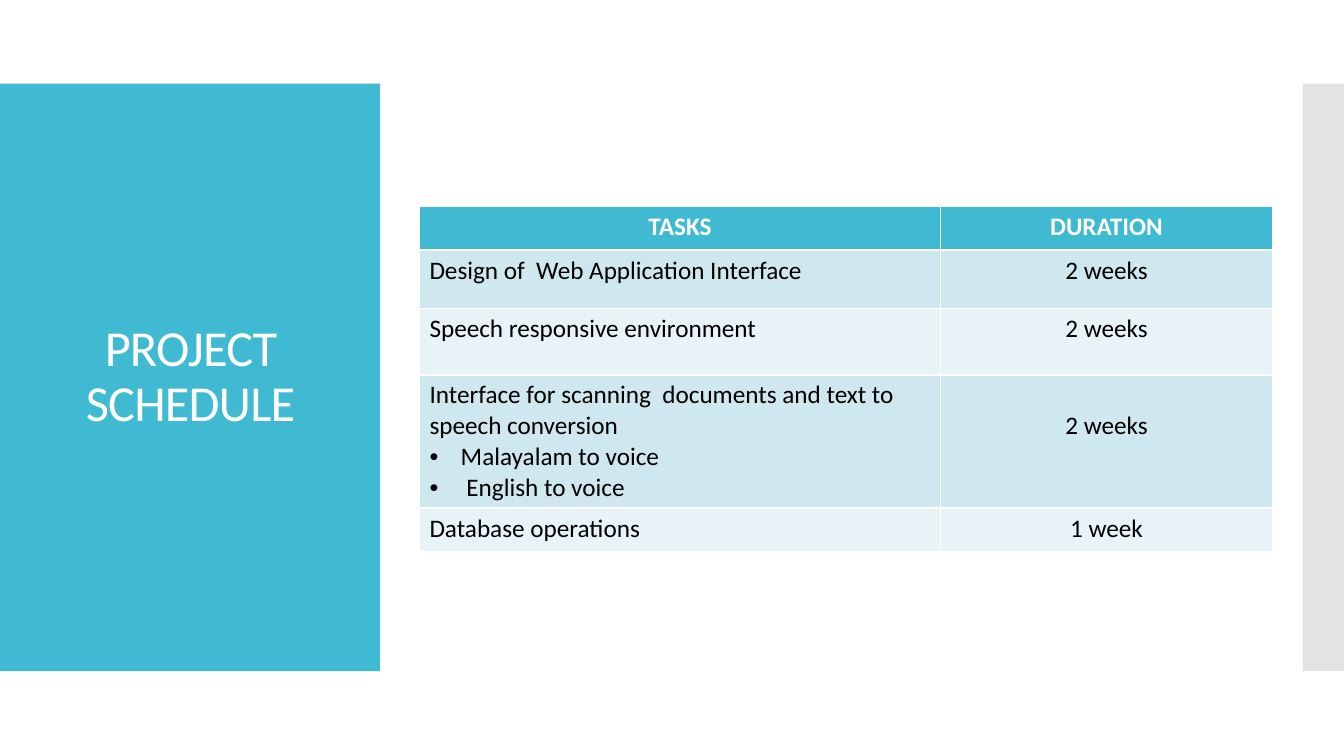
"""Build the project schedule slide with its table of tasks and durations."""
from lxml.etree import SubElement
from pptx import Presentation
from pptx.dml.color import RGBColor
from pptx.enum.shapes import MSO_SHAPE
from pptx.enum.text import MSO_ANCHOR, MSO_AUTO_SIZE, PP_ALIGN
from pptx.oxml.ns import qn
from pptx.util import Inches, Pt

TEAL = RGBColor(0x40, 0xBA, 0xD2)
GREY = RGBColor(0xC8, 0xC8, 0xC8)
BAND_DARK = RGBColor(0xCF, 0xE7, 0xEE)
BAND_LIGHT = RGBColor(0xE8, 0xF3, 0xF7)
WHITE = RGBColor(0xFF, 0xFF, 0xFF)
BLACK = RGBColor(0x00, 0x00, 0x00)


def add_panel(left, width, color):
    panel = slide.shapes.add_shape(
        MSO_SHAPE.RECTANGLE, Inches(left), Inches(0.83), Inches(width), Inches(5.83))
    panel.shadow.inherit = False
    panel.fill.solid()
    panel.fill.fore_color.rgb = color
    panel.line.fill.background()
    return panel


def style_text(paragraph, size, color, bold=False):
    paragraph.font.name = "Calibri"
    paragraph.font.size = Pt(size)
    paragraph.font.bold = bold
    paragraph.font.color.rgb = color


presentation = Presentation()
presentation.slide_width = Inches(13.33)
presentation.slide_height = Inches(7.5)
slide = presentation.slides.add_slide(presentation.slide_layouts[5])

add_panel(0, 3.77, TEAL)
side_strip = add_panel(12.92, 0.41, GREY)
strip_color = next(side_strip.element.spPr.iter(qn("a:srgbClr")))
SubElement(strip_color, qn("a:alpha"), val="50000")

title = slide.shapes.title
slide.shapes.element.append(title.element)
title.left, title.top = Inches(0.28), Inches(1.23)
title.width, title.height = Inches(3.22), Inches(5.03)
title.text_frame.text = "PROJECT SCHEDULE"
title.text_frame.word_wrap = True
title.text_frame.auto_size = MSO_AUTO_SIZE.NONE
title.text_frame.vertical_anchor = MSO_ANCHOR.MIDDLE
heading = title.text_frame.paragraphs[0]
heading.alignment = PP_ALIGN.CENTER
heading.line_spacing = 0.9
style_text(heading, 36, WHITE)
next(title.element.iter(qn("a:defRPr"))).set("spc", "-60")

schedule = [
    (0.43, ["TASKS"], "DURATION"),
    (0.58, ["Design of  Web Application Interface"], "2 weeks"),
    (0.66, ["Speech responsive environment"], "2 weeks"),
    (1.3, ["Interface for scanning  documents and text to speech conversion",
           "Malayalam to voice", " English to voice"], "2 weeks"),
    (0.43, ["Database operations"], "1 week"),
]
table = slide.shapes.add_table(
    len(schedule), 2, Inches(4.16), Inches(2.05), Inches(8.46), Inches(3.4)).table
table.columns[0].width = Inches(5.17)
table.columns[1].width = Inches(3.29)

for row, (height, task_lines, duration) in enumerate(schedule):
    table.rows[row].height = Inches(height)
    is_header = row == 0
    band = TEAL if is_header else BAND_DARK if row % 2 else BAND_LIGHT
    for column, lines in enumerate([task_lines, [duration]]):
        cell = table.cell(row, column)
        cell.fill.solid()
        cell.fill.fore_color.rgb = band
        cell.text = "\n".join(lines)
        centred = is_header or column == 1
        for line, paragraph in enumerate(cell.text_frame.paragraphs):
            paragraph.alignment = PP_ALIGN.CENTER if centred else PP_ALIGN.LEFT
            if line > 0:
                properties = paragraph.runs[0].font and next(
                    cell.text_frame.paragraphs[line].runs[0]._r.getparent().iter(qn("a:pPr")))
                properties.set("marL", str(Inches(0.31)))
                properties.set("indent", str(Inches(-0.31)))
                SubElement(properties, qn("a:buFont"), typeface="Arial")
                SubElement(properties, qn("a:buChar"), char="•")
            style_text(paragraph, 18, WHITE if is_header else BLACK, is_header)

table.cell(3, 1).margin_top = Inches(0.35)

presentation.save("out.pptx")
